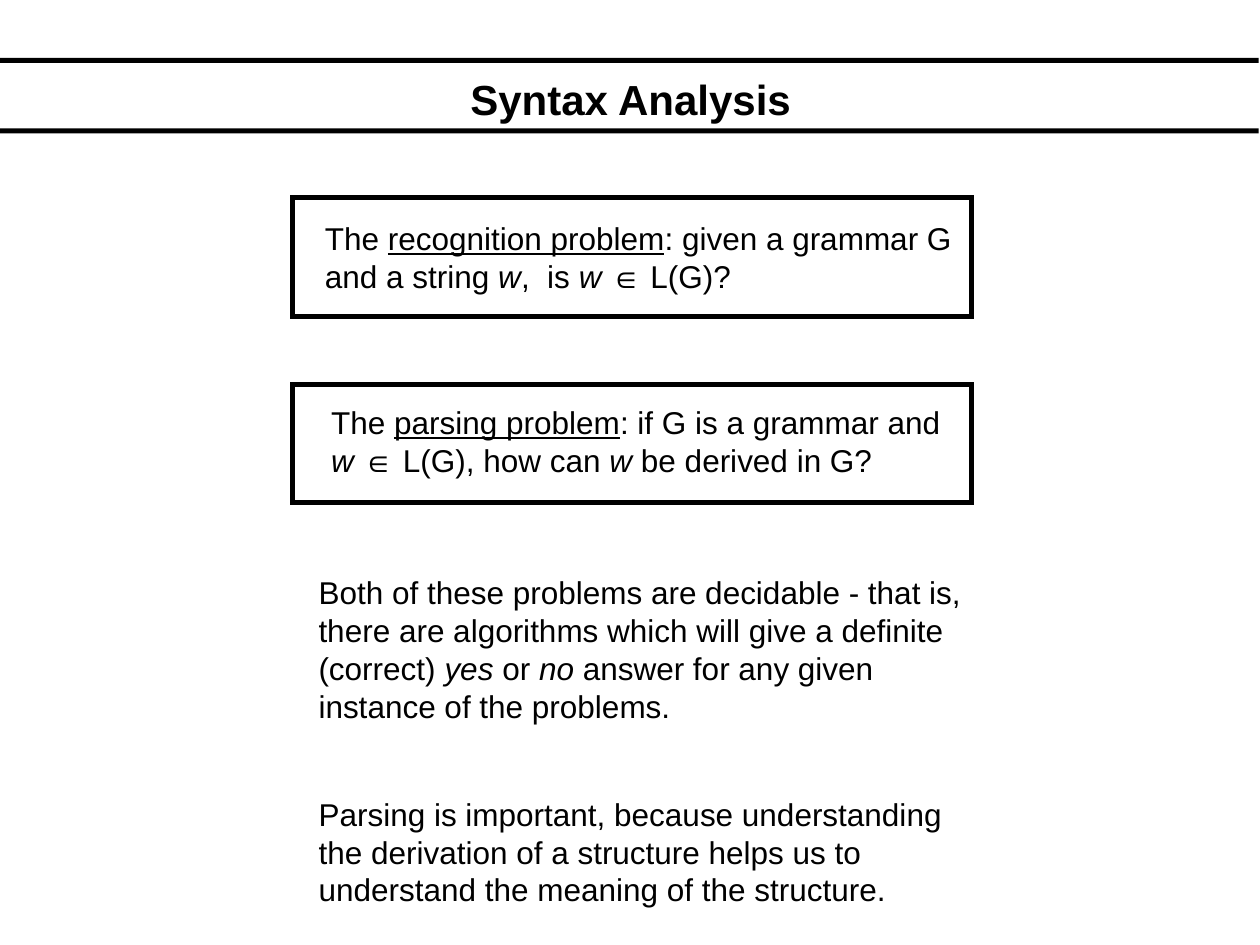
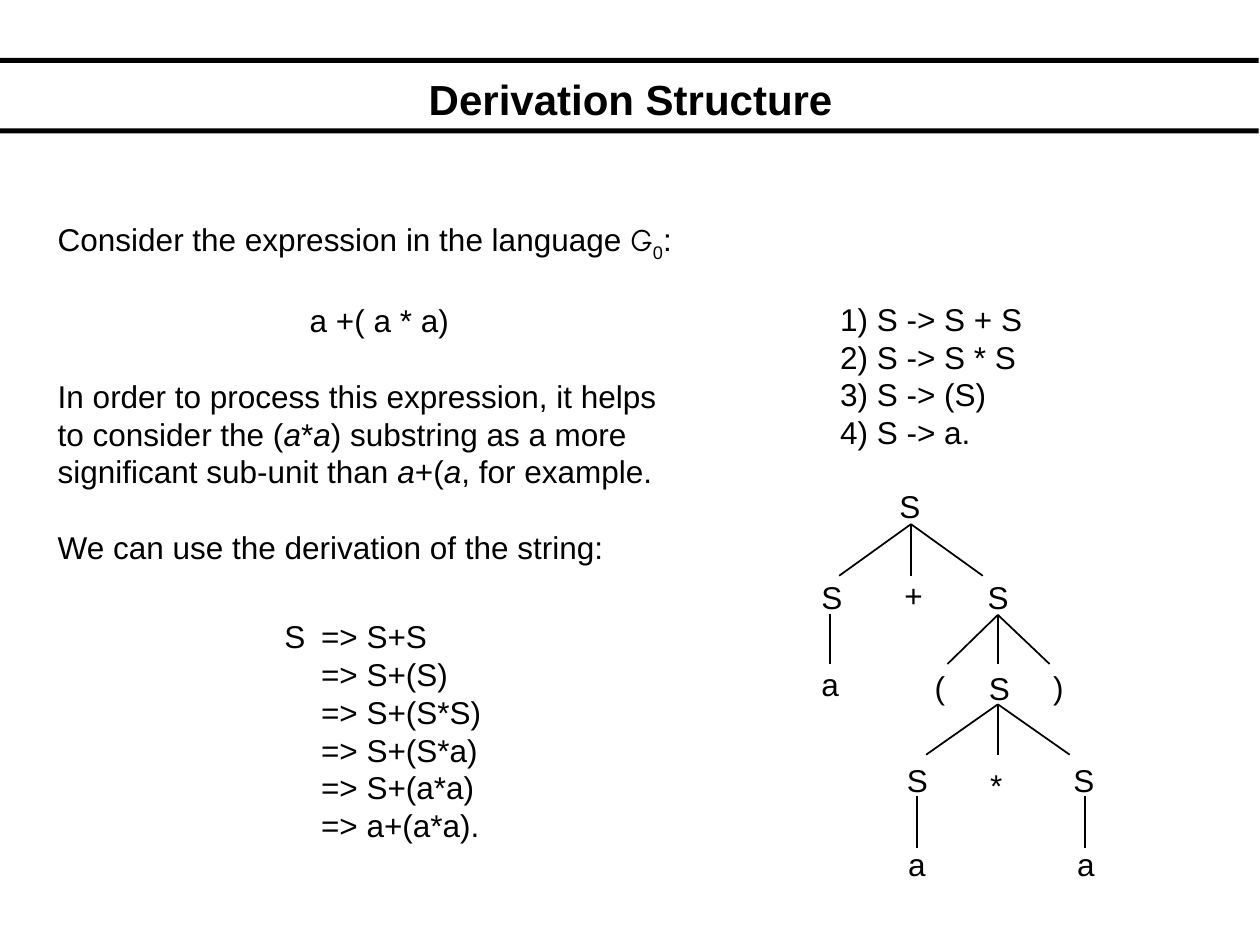
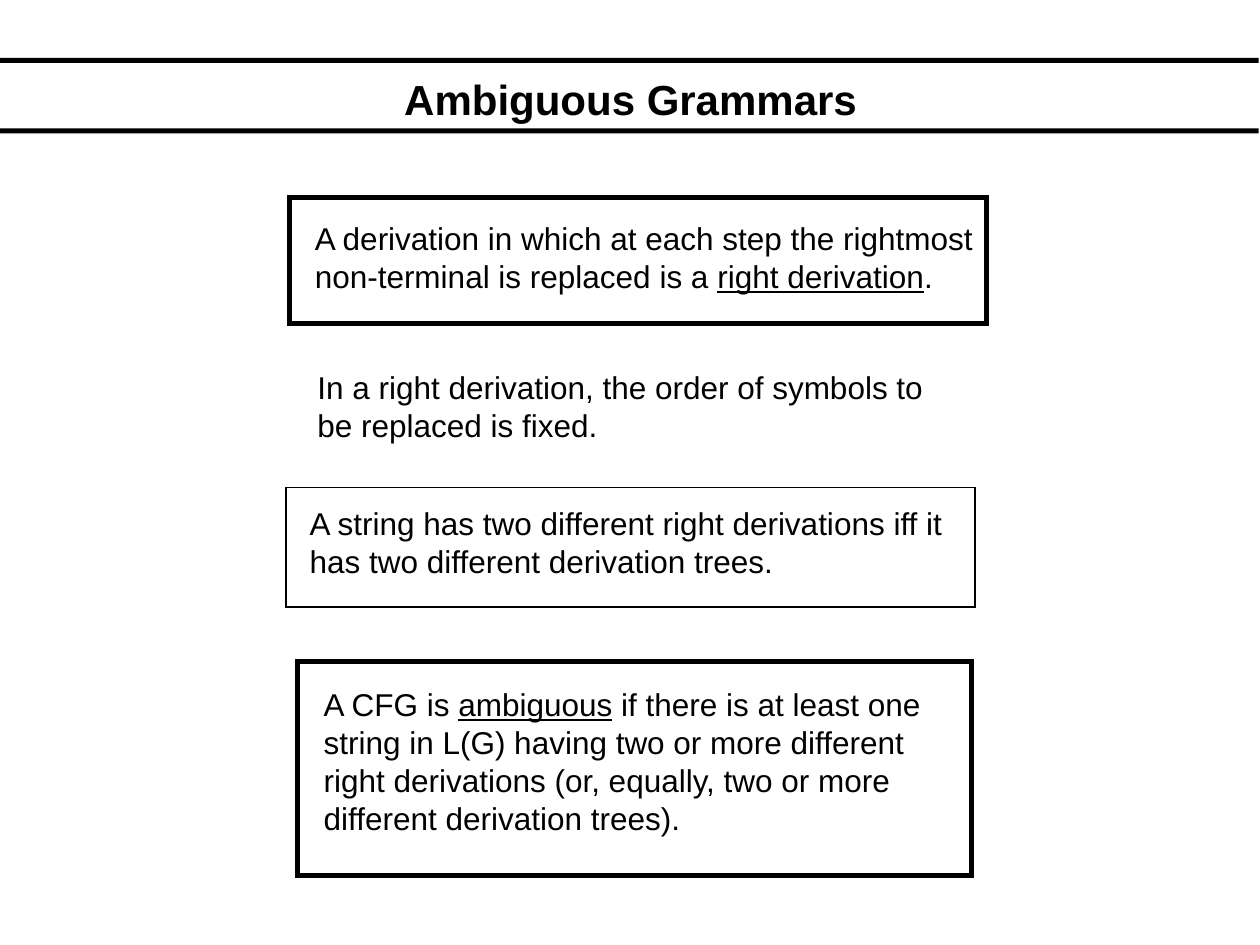
"""Build three lecture slides on syntax analysis, derivations and ambiguity."""
from dataclasses import dataclass

from lxml import etree
from pptx import Presentation
from pptx.dml.color import RGBColor
from pptx.enum.shapes import MSO_CONNECTOR, MSO_SHAPE
from pptx.enum.text import MSO_ANCHOR, MSO_AUTO_SIZE, PP_ALIGN
from pptx.oxml.ns import qn
from pptx.util import Inches, Pt

RECTANGLE = MSO_SHAPE.RECTANGLE
STRAIGHT = MSO_CONNECTOR.STRAIGHT
MIDDLE = MSO_ANCHOR.MIDDLE
CENTER = PP_ALIGN.CENTER
FIT_SHAPE = MSO_AUTO_SIZE.SHAPE_TO_FIT_TEXT
NO_FIT = MSO_AUTO_SIZE.NONE


@dataclass(frozen=True)
class Theme:
    ink: RGBColor = RGBColor(0, 0, 0)
    font: str = "Arial"
    script_font: str = "Comic Neue"
    title_size: Pt = Pt(24)
    body_size: Pt = Pt(18)
    gap: Pt = Pt(21.6)
    heavy: Pt = Pt(3)
    thin: Pt = Pt(1)


THEME = Theme()


def add_text(slide, at, lines, gaps=(), tabs=(), wrap=False):
    """Place lines of text; a line is a string or a list of strings and (text, style) pairs."""
    frame = slide.shapes.add_textbox(*map(Inches, at)).text_frame
    frame.word_wrap = wrap
    frame.auto_size = FIT_SHAPE
    for index, line in enumerate(lines):
        paragraph = frame.add_paragraph() if index else frame.paragraphs[0]
        if tabs:
            stops = etree.SubElement(paragraph._p.get_or_add_pPr(), qn("a:tabLst"))
            for tab in tabs:
                etree.SubElement(stops, qn("a:tab"), pos=str(Inches(tab)), algn="l")
        if index in gaps:
            paragraph.space_before = THEME.gap
        for part in [line] if isinstance(line, str) else line:
            words, style = (part, None) if isinstance(part, str) else part
            run = paragraph.add_run()
            run.text = words
            font = run.font
            font.name = THEME.script_font if style == "script" else THEME.font
            font.size = THEME.body_size
            font.color.rgb = THEME.ink
            if style == "italic":
                font.italic = True
            elif style == "underline":
                font.underline = True
            elif style == "subscript":
                font._element.set("baseline", "-25000")


def add_box(slide, at, weight=None):
    """Draw a sharp-cornered frame, or a solid bar when no line weight is given."""
    box = slide.shapes.add_shape(RECTANGLE, *map(Inches, at))
    box.shadow.inherit = False
    if weight:
        box.fill.background()
        box.line.color.rgb = THEME.ink
        box.line.width = weight
        etree.SubElement(box.line._get_or_add_ln(), qn("a:miter"), lim="800000")
    else:
        box.fill.solid()
        box.fill.fore_color.rgb = THEME.ink
        box.line.fill.background()


prs = Presentation()
prs.slide_width, prs.slide_height = Inches(10), Inches(7.5)

slides = []
for heading in ("Syntax Analysis", "Derivation Structure", "Ambiguous Grammars"):
    slide = prs.slides.add_slide(prs.slide_layouts[5])
    for band_top in (1.02, 0.46):
        add_box(slide, (0, band_top, 9.99, 0.04))
    title = slide.shapes.title
    title.left, title.top, title.width, title.height = map(Inches, (1.56, 0.52, 6.89, 0.52))
    title.text_frame.text = heading
    title.text_frame.auto_size = NO_FIT
    title.text_frame.vertical_anchor = MIDDLE
    title_line = title.text_frame.paragraphs[0]
    title_line.alignment = CENTER
    title_font = title_line.runs[0].font
    title_font.name = THEME.font
    title_font.size = THEME.title_size
    title_font.bold = True
    title_font.color.rgb = THEME.ink
    slides.append(slide)
analysis, derivation, ambiguity = slides

add_text(analysis, (2.48, 1.69, 5.21, 0.7), [
    ["The ", ("recognition problem", "underline"), ": given a grammar G"],
    ["and a string ", ("w", "italic"), ",  is ", ("w ", "italic"), "∈ L(G)?"],
])
add_text(analysis, (2.53, 3.15, 5.07, 0.7), [
    ["The ", ("parsing problem", "underline"), ": if G is a grammar and"],
    [("w ", "italic"), "∈ L(G), how can ", ("w", "italic"), " be derived in G?"],
])
for problem_top in (1.57, 3.05):
    add_box(analysis, (2.32, problem_top, 5.39, 0.94), THEME.heavy)
add_text(analysis, (2.43, 4.5, 5.3, 1.3), [
    "Both of these problems are decidable - that is,",
    "there are algorithms which will give a definite",
    ["(correct) ", ("yes", "italic"), " or ", ("no", "italic"), " answer for any given"],
    "instance of the problems.",
])
add_text(analysis, (2.43, 6.26, 5.15, 1), [
    "Parsing is important, because understanding",
    "the derivation of a structure helps us to",
    "understand the meaning of the structure.",
])

add_text(derivation, (0.36, 1.7, 5.11, 2.84), [
    ["Consider the expression in the language ", ("G", "script"), ("0", "subscript"), ":"],
    "\t\ta +( a * a)",
    "In order to process this expression, it helps",
    ["to consider the (", ("a", "italic"), "*", ("a", "italic"), ") substring as a more"],
    ["significant sub-unit than ", ("a", "italic"), "+(", ("a", "italic"), ", for example."],
    "We can use the derivation of the string:",
], gaps=(1, 2, 5), tabs=(1, 2))
add_text(derivation, (2.16, 4.85, 1.83, 1.9), [
    "S \t=> S+S",
    "\t=> S+(S)",
    "\t=> S+(S*S)",
    "\t=> S+(S*a)",
    "\t=> S+(a*a)",
    "\t=> a+(a*a).",
], tabs=(0.29,))
add_text(derivation, (6.57, 2.33, 2.97, 1.3), [
    "1) S -> S + S",
    "2) S -> S * S",
    "3) S -> (S)",
    "4) S -> a.",
], wrap=True)

symbol_widths = {"S": 0.37, "a": 0.34, "+": 0.34, "*": 0.3, "(": 0.28, ")": 0.28}
tree_nodes = [
    ("S", 7.04, 3.82),
    ("S", 6.42, 4.54), ("+", 7.08, 4.52), ("S", 7.74, 4.54),
    ("a", 6.42, 5.23), ("(", 7.32, 5.25), ("S", 7.75, 5.26), (")", 8.26, 5.25),
    ("S", 7.1, 5.99), ("*", 7.76, 6.03), ("S", 8.42, 5.99),
    ("a", 7.11, 6.66), ("a", 8.45, 6.66),
]
for symbol, left, top in tree_nodes:
    add_text(derivation, (left, top, symbol_widths[symbol], 0.4), [symbol])

tree_branches = [
    (7.23, 4.16, 4.57, (6.66, 7.23, 7.8)),
    (6.59, 4.87, 5.27, (6.59,)),
    (7.92, 4.88, 5.27, (7.52, 7.92, 8.33)),
    (7.92, 5.59, 5.99, (7.35, 7.92, 8.49)),
    (7.28, 6.32, 6.73, (7.28,)),
    (8.61, 6.32, 6.73, (8.61,)),
]
for parent_x, parent_y, child_y, children in tree_branches:
    for child_x in children:
        branch = derivation.shapes.add_connector(
            STRAIGHT, *map(Inches, (parent_x, parent_y, child_x, child_y)))
        branch.line.color.rgb = THEME.ink
        branch.line.width = THEME.thin
        etree.SubElement(branch._element.spPr, qn("a:effectLst"))

add_text(ambiguity, (2.4, 1.69, 5.44, 0.7), [
    "A derivation in which at each step the rightmost",
    ["non-terminal is replaced is a ", ("right derivation", "underline"), "."],
])
add_text(ambiguity, (2.42, 2.87, 5.08, 0.7), [
    "In a right derivation, the order of symbols to",
    "be replaced is fixed.",
])
add_text(ambiguity, (2.36, 3.95, 5.24, 0.7), [
    "A string has two different right derivations iff it",
    "has two different derivation trees.",
])
add_text(ambiguity, (2.47, 5.39, 4.95, 1.3), [
    ["A CFG is ", ("ambiguous", "underline"), " if there is at least one"],
    "string in L(G) having two or more different",
    "right derivations (or, equally, two or more",
    "different derivation trees).",
])
add_box(ambiguity, (2.3, 1.57, 5.53, 1), THEME.heavy)
add_box(ambiguity, (2.27, 3.87, 5.47, 0.95), THEME.thin)
add_box(ambiguity, (2.36, 5.25, 5.35, 1.7), THEME.heavy)

prs.save("out.pptx")
